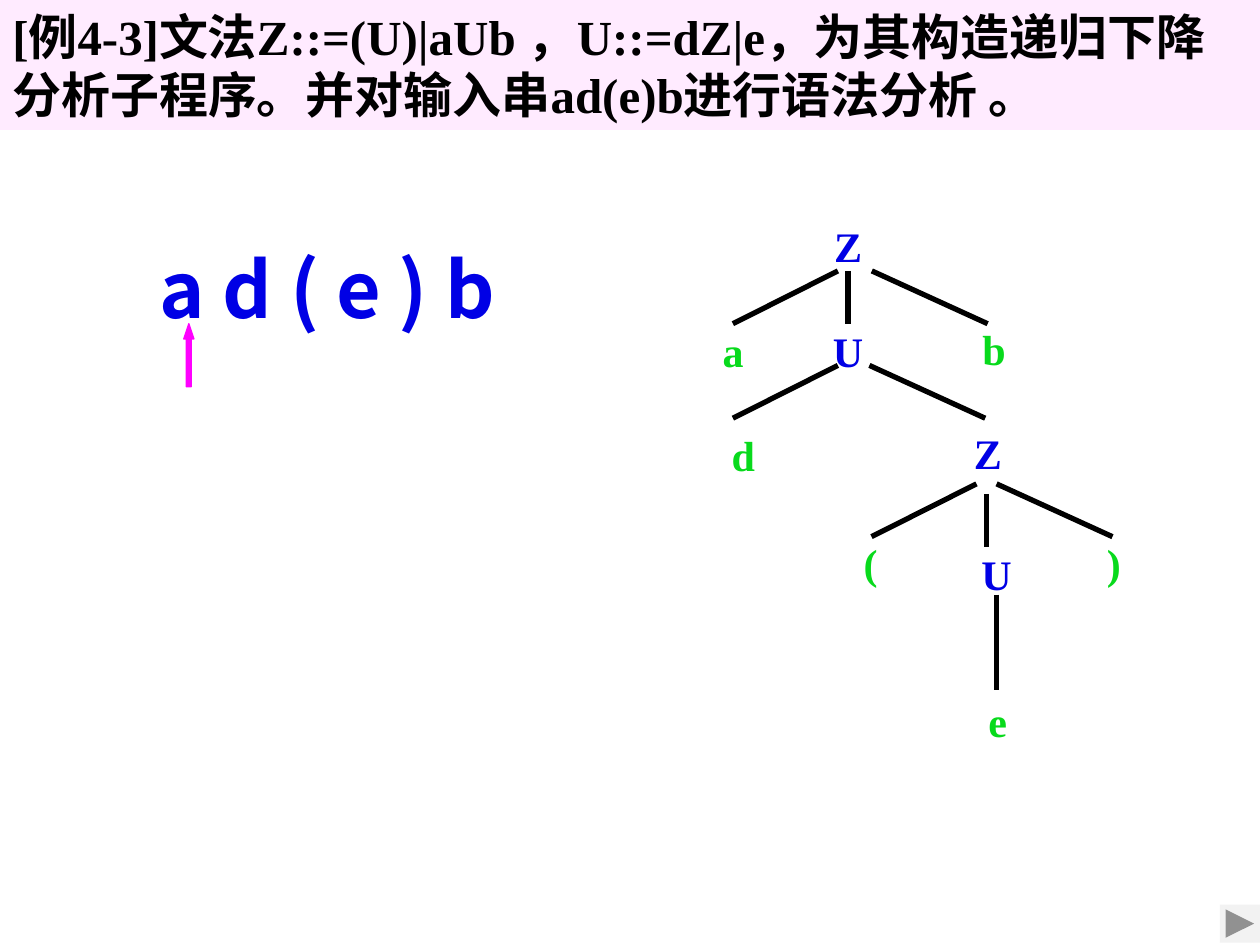
from dataclasses import dataclass

from lxml import etree
from pptx import Presentation
from pptx.dml.color import RGBColor
from pptx.enum import shapes, text
from pptx.oxml import ns
from pptx.util import Pt

BLUE = RGBColor(0x00, 0x00, 0xE5)
GREEN = RGBColor(0x08, 0xDA, 0x1C)
BLACK = RGBColor(0x00, 0x00, 0x00)
MAGENTA = RGBColor(0xFF, 0x00, 0xFF)
PINK = RGBColor(0xFF, 0xEB, 0xFF)
GREY = RGBColor(0xF2, 0xF2, 0xF2)

SERIF = "Times New Roman"
SANS_JP = "Noto Sans CJK JP"
SANS_SC = "Noto Sans CJK SC"
NODE_W, NODE_H = 36, 30.2
DROP = 30.2


@dataclass
class Node:
    """A tree symbol, placed by its centre."""
    symbol: str
    x: float
    y: float

    @property
    def color(self) -> RGBColor:
        return BLUE if self.symbol.isupper() else GREEN


@dataclass
class Branch:
    """A tree edge, from its upper end."""
    x: float
    y: float
    dx: float = 0
    dy: float = DROP


NODES = [
    Node("Z", 484.6, 140.4),
    Node("a", 419, 200.2), Node("U", 484.6, 200.2), Node("b", 568.1, 199.4),
    Node("d", 424.8, 259.9), Node("Z", 564.5, 258.5),
    Node("(", 497.5, 321.8), Node("U", 569.5, 327.6), Node(")", 636.5, 321.8),
    Node("e", 570.2, 411.8),
]
BRANCHES = [
    Branch(478.8, 154.8, -60), Branch(484.6, 154.8), Branch(498.2, 154.8, 66.2),
    Branch(478.8, 208.8, -60), Branch(496.8, 208.8, 66.2),
    Branch(558, 276.5, -60), Branch(563.8, 282.2), Branch(569.5, 276.5, 66.2),
    Branch(569.5, 339.8, dy=54.7),
]


def add_label(s, words: str, box: tuple, size: float, font: str,
              color: RGBColor, anchor, wrap: bool) -> None:
    tf = s.shapes.add_textbox(*map(Pt, box)).text_frame
    tf.word_wrap = wrap
    tf.vertical_anchor = anchor
    p = tf.paragraphs[0]
    p.text = words
    p.alignment = text.PP_ALIGN.CENTER
    p.font.size, p.font.bold, p.font.name = Pt(size), True, font
    p.font.color.rgb = color


def add_node(s, node: Node) -> None:
    box = (node.x - NODE_W / 2, node.y - NODE_H / 2, NODE_W, NODE_H)
    add_label(s, node.symbol, box, 24, SERIF, node.color,
              text.MSO_ANCHOR.MIDDLE, False)


def add_branch(s, b: Branch) -> None:
    line = s.shapes.add_connector(shapes.MSO_CONNECTOR.STRAIGHT, Pt(b.x), Pt(b.y),
                                  Pt(b.x + b.dx), Pt(b.y + b.dy))
    line.line.color.rgb = BLACK
    line.line.width = Pt(3)
    etree.SubElement(line._element.spPr, ns.qn("a:effectLst"))


def add_filled(s, kind, box: tuple, color: RGBColor):
    sp = s.shapes.add_shape(kind, *map(Pt, box))
    sp.shadow.inherit = False
    sp.fill.solid()
    sp.fill.fore_color.rgb = color
    sp.line.fill.background()
    return sp


def add_heading(s) -> None:
    sp = add_filled(s, shapes.MSO_SHAPE.RECTANGLE, (0, 0, 720, 74.2), PINK)
    tf = sp.text_frame
    tf.word_wrap = True
    tf.vertical_anchor = text.MSO_ANCHOR.TOP
    p = tf.paragraphs[0]
    p.alignment = text.PP_ALIGN.LEFT
    p.font.size, p.font.bold = Pt(28), True
    p.font.color.rgb = BLACK
    for words, font in (
        ("[例4-3]文法Z::=(U)|aUb ，U::=dZ|e，为其构造递归下降分析子程序。"
         "并对输入串ad(e)b", SERIF),
        ("进行语法分析", SANS_SC),
        (" 。", SERIF),
    ):
        r = p.add_run()
        r.text = words
        r.font.name = font


def main() -> None:
    prs = Presentation()
    prs.slide_width, prs.slide_height = Pt(720), Pt(540)
    s = prs.slides.add_slide(prs.slide_layouts[6])

    add_label(s, "a d ( e ) b", (59.8, 133.9, 254.9, 60.5), 44, SANS_JP, BLUE,
              text.MSO_ANCHOR.BOTTOM, True)
    pointer = add_filled(s, shapes.MSO_SHAPE.UP_ARROW, (105, 185, 5.8, 36), MAGENTA)
    pointer.adjustments[0], pointer.adjustments[1] = 0.5, 1.5
    pointer.line.color.rgb = MAGENTA
    pointer.line.width = Pt(0.75)
    add_heading(s)

    for branch in BRANCHES:
        add_branch(s, branch)
    for node in NODES:
        add_node(s, node)
    add_filled(s, shapes.MSO_SHAPE.ACTION_BUTTON_FORWARD_OR_NEXT,
               (697, 517, 23, 21.6), GREY)
    prs.save("out.pptx")


if __name__ == "__main__":
    main()
